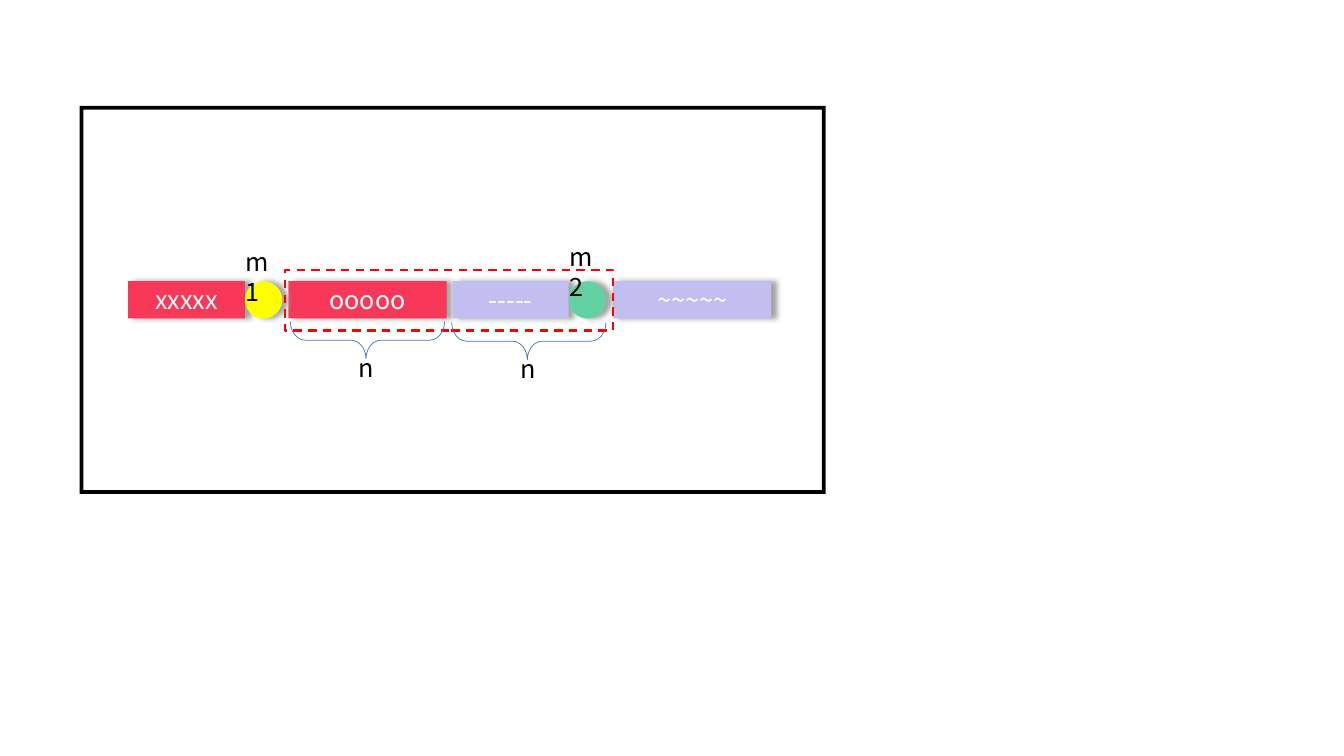
from lxml.etree import SubElement
from pptx import Presentation
from pptx.dml.color import RGBColor
from pptx.enum.dml import MSO_LINE
from pptx.enum.shapes import MSO_SHAPE
from pptx.enum.text import MSO_ANCHOR, MSO_AUTO_SIZE, PP_ALIGN
from pptx.oxml.ns import qn
from pptx.util import Emu, Pt

PX = 9144
FONT = "Noto Sans CJK SC"
RED, LILAC, YELLOW, GREEN = "F73859", "C3BEF0", "FFFF00", "62D2A2"
ROW_TOP, ROW_HEIGHT = 279, 37


def px(length):
    """Turn px into EMU."""
    return Emu(length * PX)


def color(hex_code):
    """Turn a hex string into a colour."""
    return RGBColor.from_string(hex_code)


def add_outline(shapes, kind, box, fill=None, line=None, width=0.5):
    """Add a preset shape with a plain fill and line."""
    shape = shapes.add_shape(kind, *map(px, box))
    shape.shadow.inherit = False
    if fill:
        shape.fill.solid()
        shape.fill.fore_color.rgb = color(fill)
    else:
        shape.fill.background()
    if line:
        shape.line.color.rgb = color(line)
        shape.line.width = Pt(width)
    else:
        shape.line.fill.background()
    return shape


def add_shadow(shape):
    """Give a shape a soft grey shadow to its right."""
    effects = shape._element.spPr.find(qn("a:effectLst"))
    shadow = SubElement(effects, qn("a:outerShdw"), blurRad=str(Pt(4)),
                        dist=str(Pt(4)), dir="0", algn="l", rotWithShape="0")
    SubElement(shadow, qn("a:srgbClr"), val="A6A6A6")


def write(frame, text, hex_code, align):
    """Write one run of text into a frame."""
    paragraph = frame.paragraphs[0]
    paragraph.alignment = align
    run = paragraph.add_run()
    run.text = text
    run.font.name = FONT
    run.font.size = Pt(18)
    run.font.color.rgb = color(hex_code)


def add_label(shapes, text, left, top, width):
    """Add a black label that stays on one line."""
    frame = shapes.add_textbox(*map(px, (left, top, width, 40))).text_frame
    frame.word_wrap = False
    frame.auto_size = MSO_AUTO_SIZE.SHAPE_TO_FIT_TEXT
    write(frame, text, "000000", PP_ALIGN.LEFT)


def add_segment(shapes, text, left, width, fill):
    """Add a bar of the sequence with white text."""
    segment = add_outline(shapes, MSO_SHAPE.RECTANGLE,
                          (left, ROW_TOP, width, ROW_HEIGHT), fill)
    add_shadow(segment)
    segment.text_frame.vertical_anchor = MSO_ANCHOR.MIDDLE
    write(segment.text_frame, text, "FFFFFF", PP_ALIGN.CENTER)


def add_marker(shapes, text, left, label_top, fill):
    """Add a circle grouped with its label."""
    marker = shapes.add_group_shape().shapes
    circle = add_outline(marker, MSO_SHAPE.OVAL,
                         (left, ROW_TOP, ROW_HEIGHT, ROW_HEIGHT), fill)
    add_shadow(circle)
    add_label(marker, text, left - 9, label_top, 55)


def add_span(shapes, text, left, top):
    """Add a label and the downward brace above it."""
    add_label(shapes, text, left, top + 84, 34)
    brace = add_outline(shapes, MSO_SHAPE.RIGHT_BRACE, (left, top, 37, 153),
                        line="4472C4")
    brace.rotation = 90
    brace.adjustments[0] = 0.4
    brace.adjustments[1] = 0.51


def main():
    """Build the slide and save it."""
    deck = Presentation()
    deck.slide_width, deck.slide_height = px(1333), px(750)
    shapes = deck.slides.add_slide(deck.slide_layouts[6]).shapes

    add_segment(shapes, "xxxxx", 127, 116, RED)
    add_segment(shapes, "ooooo", 286, 157, RED)
    add_marker(shapes, "m1", 243, 239, YELLOW)
    add_segment(shapes, "-----", 449, 115, LILAC)
    add_segment(shapes, "~~~~~", 608, 157, LILAC)
    add_marker(shapes, "m2", 564, 234, GREEN)

    border = add_outline(shapes, MSO_SHAPE.FRAME, (79, 105, 740, 385), "000000")
    border.adjustments[0] = 0.01
    window = add_outline(shapes, MSO_SHAPE.RECTANGLE, (283, 268, 325, 60),
                         line="FF0000", width=1.5)
    window.line.dash_style = MSO_LINE.DASH

    for left, top in ((346, 261), (506, 262)):
        add_span(shapes, "n", left, top)

    deck.save("out.pptx")


if __name__ == "__main__":
    main()
